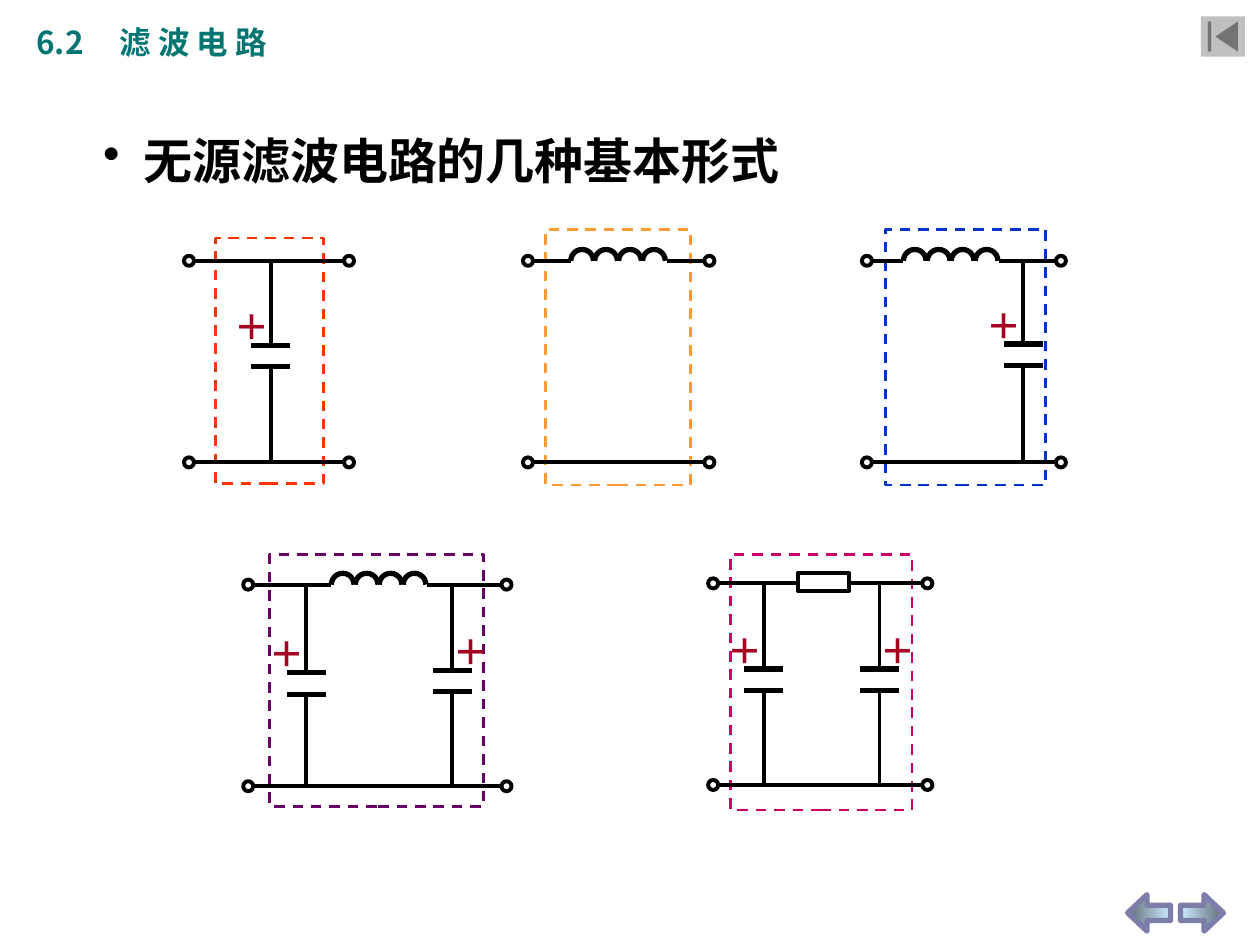
import pptx
import pptx.dml.color
import pptx.enum.dml
import pptx.enum.shapes
import pptx.enum.text
import pptx.util
from lxml import etree
from pptx.oxml.ns import qn
from pptx.util import Inches, Pt

SHAPE = pptx.enum.shapes.MSO_SHAPE
BLACK, WHITE = "000000", "FFFFFF"
RAIL_GAP = 1.6
TURNS, TURN_PITCH, TURN_SIZE = 4, 0.19, 0.18
PLATE_WIDTH, PLATE_GAP = 0.31, 0.17


def rgb(hex_color):
    return pptx.dml.color.RGBColor.from_string(hex_color)


def add_outlined(slide, kind, left, top, width, height, line, weight, fill=None):
    shape = slide.shapes.add_shape(
        kind, Inches(left), Inches(top), Inches(width), Inches(height))
    shape.shadow.inherit = False
    if fill:
        shape.fill.solid()
        shape.fill.fore_color.rgb = rgb(fill)
    else:
        shape.fill.background()
    if line:
        shape.line.color.rgb = rgb(line)
        shape.line.width = Pt(weight)
    else:
        shape.line.fill.background()
    return shape


def add_wire(slide, x1, y1, x2, y2, weight=2.25):
    wire = slide.shapes.add_connector(
        pptx.enum.shapes.MSO_CONNECTOR.STRAIGHT,
        Inches(x1), Inches(y1), Inches(x2), Inches(y2))
    wire.line.color.rgb = rgb(BLACK)
    wire.line.width = Pt(weight)
    etree.SubElement(wire._element.spPr, qn("a:effectLst"))


def add_label(slide, left, top, width, height, text, size, font, color):
    label = slide.shapes.add_textbox(
        Inches(left), Inches(top), Inches(width), Inches(height))
    label.text_frame.word_wrap = False
    paragraph = label.text_frame.paragraphs[0]
    paragraph.text = text
    paragraph.font.size = Pt(size)
    paragraph.font.name = font
    paragraph.font.bold = True
    paragraph.font.color.rgb = rgb(color)
    return label


def add_coil(slide, left, y):
    """Draw the turns and return the x where the coil ends."""
    for turn in range(TURNS):
        arc = add_outlined(slide, SHAPE.ARC, left + turn * TURN_PITCH,
                           y - TURN_SIZE / 2, TURN_SIZE, TURN_SIZE, BLACK, 3)
        # Angles in units of 100000/60000 degree: from 180 to 0.
        arc.adjustments[0] = 108
        arc.adjustments[1] = 0
    return left + TURNS * TURN_PITCH


def add_capacitor(slide, x, rail_top, rail_bottom, plate_offset, plus_side):
    """Connect the rails through a capacitor; plus_side is -1 (left) or 1."""
    upper = rail_top + plate_offset
    lower = upper + PLATE_GAP
    add_wire(slide, x, rail_top, x, upper)
    add_wire(slide, x, lower, x, rail_bottom)
    for plate in (upper, lower):
        add_wire(slide, x - PLATE_WIDTH / 2, plate, x + PLATE_WIDTH / 2, plate, 3)
    plus = add_label(slide, x + plus_side * 0.15 - 0.24, upper - 0.37, 0.48, 0.44,
                     "＋", 20, "Times New Roman", "A50021")
    plus.text_frame.vertical_anchor = pptx.enum.text.MSO_ANCHOR.MIDDLE
    plus.text_frame.paragraphs[0].alignment = pptx.enum.text.PP_ALIGN.CENTER


def add_circuit(slide, left, top, width, frame, color,
                coil=None, resistor=None, capacitors=()):
    """Place a filter between its four terminals; parts are offset from left, top."""
    right, bottom = left + width, top + RAIL_GAP
    frame_x, frame_y, frame_width, frame_height = frame
    dashed = add_outlined(slide, SHAPE.RECTANGLE, left + frame_x, top + frame_y,
                          frame_width, frame_height, color, 1.5, WHITE)
    dashed.line.dash_style = pptx.enum.dml.MSO_LINE.DASH

    if coil is None:
        add_wire(slide, left, top, right, top)
    else:
        coil_end = add_coil(slide, left + coil, top)
        add_wire(slide, left, top, left + coil, top)
        add_wire(slide, coil_end, top, right, top)
    add_wire(slide, left, bottom, right, bottom)

    for offset, plate_offset, plus_side in capacitors:
        add_capacitor(slide, left + offset, top, bottom, plate_offset, plus_side)
    if resistor is not None:
        add_outlined(slide, SHAPE.RECTANGLE, left + resistor, top - 0.08,
                     0.41, 0.14, BLACK, 2.25, WHITE)
    for x in (left, right):
        for y in (top, bottom):
            add_outlined(slide, SHAPE.OVAL, x - 0.04, y - 0.04, 0.08, 0.08,
                         BLACK, 2.25, WHITE)


def add_section_title(slide, left, top, width, height):
    title = add_label(slide, left, top, width, height, "6.2\t滤 波 电 路",
                      18, "Noto Sans CJK SC", "007572")
    properties = title.text_frame.paragraphs[0]._p.get_or_add_pPr()
    tabs = etree.Element(qn("a:tabLst"))
    etree.SubElement(tabs, qn("a:tab"), pos=str(Inches(0.66)), algn="l")
    properties.insert(0, tabs)


def add_heading(slide, left, top, width, height):
    heading = add_label(slide, left, top, width, height, "无源滤波电路的几种基本形式",
                        28, "Times New Roman", BLACK)
    properties = heading.text_frame.paragraphs[0]._p.get_or_add_pPr()
    properties.set("marL", str(Inches(0.32)))
    properties.set("indent", str(-Inches(0.32)))
    bullet = etree.Element(qn("a:buChar"), char="•")
    properties.insert(0, bullet)


def add_page_arrow(slide, kind, left, top, angle):
    arrow = add_outlined(slide, kind, left, top, 0.34, 0.29, "7D7DA9", 3)
    arrow.adjustments[0] = 0.42
    arrow.adjustments[1] = 0.53
    arrow.fill.gradient()
    arrow.fill.gradient_angle = angle
    for stop, color in zip(arrow.fill.gradient_stops, ("5E6C75", "CCECFF")):
        stop.color.rgb = rgb(color)


def add_navigation(slide):
    add_page_arrow(slide, SHAPE.LEFT_ARROW, 8.95, 7.1, 0)
    add_page_arrow(slide, SHAPE.RIGHT_ARROW, 9.37, 7.1, 180)
    add_outlined(slide, SHAPE.ACTION_BUTTON_BEGINNING, 9.53, 0.13, 0.35, 0.32,
                 None, 0, "C0C0C0")


def main():
    presentation = pptx.Presentation()
    presentation.slide_width = Inches(10)
    presentation.slide_height = Inches(7.5)
    slide = presentation.slides.add_slide(presentation.slide_layouts[6])

    add_section_title(slide, 0.19, 0.13, 2.2, 0.4)
    add_heading(slide, 0.72, 0.99, 5.96, 0.57)

    add_circuit(slide, 1.5, 2.07, 1.27, (0.21, -0.18, 0.86, 1.95), "FF3300",
                capacitors=[(0.65, 0.67, -1)])
    add_circuit(slide, 4.19, 2.07, 1.44, (0.14, -0.25, 1.15, 2.03), "FF9933",
                coil=0.34)
    add_circuit(slide, 6.88, 2.07, 1.54, (0.15, -0.25, 1.27, 2.03), "0033CC",
                coil=0.29, capacitors=[(1.24, 0.66, -1)])
    add_circuit(slide, 1.97, 4.64, 2.05, (0.17, -0.24, 1.7, 2), "660066",
                coil=0.66, capacitors=[(0.46, 0.7, -1), (1.62, 0.68, 1)])
    add_circuit(slide, 5.66, 4.63, 1.7, (0.14, -0.23, 1.44, 2.03), "CC0066",
                resistor=0.67, capacitors=[(0.4, 0.68, -1), (1.32, 0.68, 1)])

    add_navigation(slide)
    presentation.save("out.pptx")


if __name__ == "__main__":
    main()
